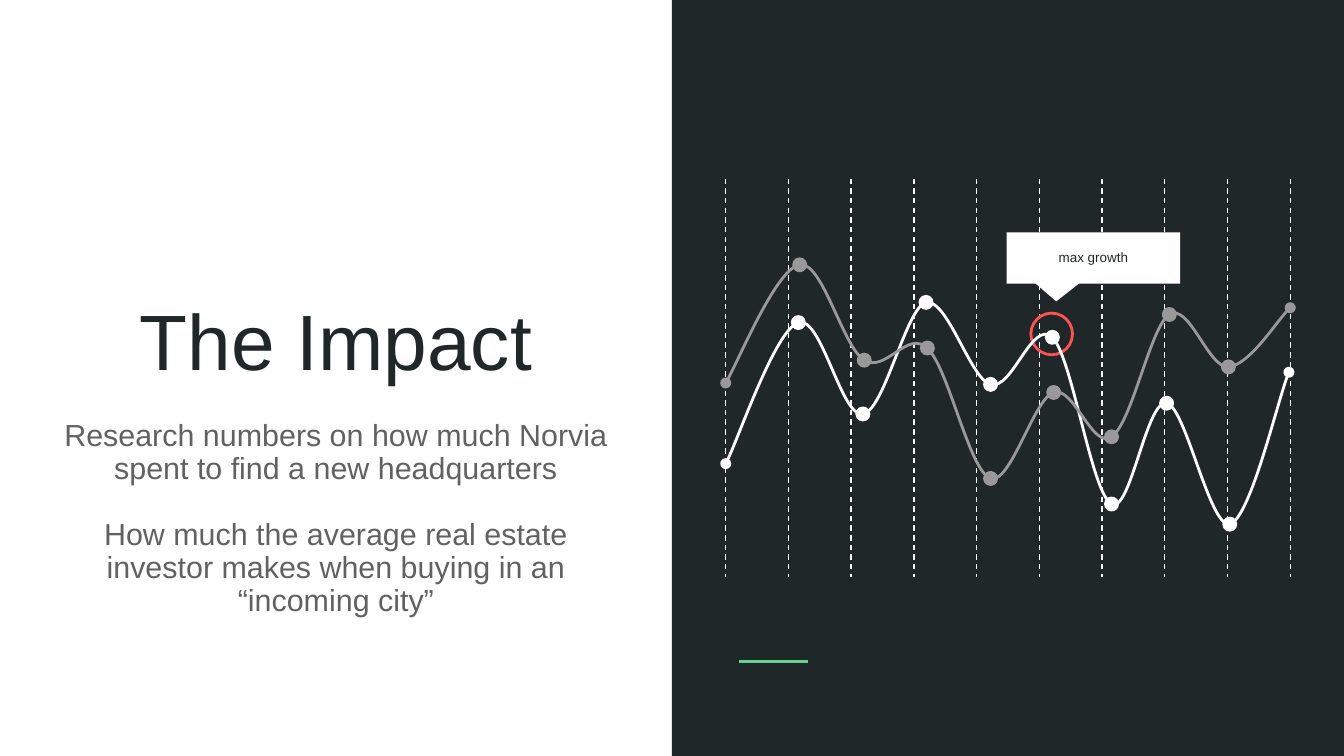
from lxml import etree
from pptx import Presentation
from pptx.dml.color import RGBColor
from pptx.enum.dml import MSO_LINE
from pptx.enum.shapes import MSO_CONNECTOR, MSO_SHAPE
from pptx.enum.text import MSO_ANCHOR, MSO_AUTO_SIZE, PP_ALIGN
from pptx.oxml.ns import qn
from pptx.util import Inches, Pt

RECT, OVAL = MSO_SHAPE.RECTANGLE, MSO_SHAPE.OVAL
CALLOUT = MSO_SHAPE.ROUNDED_RECTANGULAR_CALLOUT
STRAIGHT, DASH = MSO_CONNECTOR.STRAIGHT, MSO_LINE.DASH
CENTER, NONE = PP_ALIGN.CENTER, MSO_AUTO_SIZE.NONE
TOP, MIDDLE, BOTTOM = MSO_ANCHOR.TOP, MSO_ANCHOR.MIDDLE, MSO_ANCHOR.BOTTOM
DARK, WHITE, GREY, SLATE = "202729", "FFFFFF", "999999", "616161"
GREEN, RED = "63D297", "FF5252"
WIDE = 10
HIGH = WIDE * 9 / 16
DOT = 0.09

WAVE_WHITE = [
    (0, 2.12), (0.09, 1.95), (0.37, 1.13), (0.54, 1.07),
    (0.71, 1.01), (0.86, 1.78), (1.02, 1.75),
    (1.18, 1.73), (1.34, 0.96), (1.49, 0.92),
    (1.65, 0.89), (1.82, 1.49), (1.97, 1.53),
    (2.13, 1.58), (2.28, 1.04), (2.43, 1.18),
    (2.58, 1.33), (2.72, 2.34), (2.87, 2.42),
    (3.01, 2.5), (3.13, 1.64), (3.28, 1.67),
    (3.42, 1.69), (3.6, 2.6), (3.75, 2.57),
    (3.9, 2.53), (4.11, 1.63), (4.19, 1.44),
]
WAVE_GREY = [
    (0, 1.52), (0.09, 1.37), (0.38, 0.67), (0.55, 0.64),
    (0.72, 0.61), (0.87, 1.25), (1.03, 1.35),
    (1.19, 1.45), (1.35, 1.12), (1.5, 1.26),
    (1.66, 1.41), (1.81, 2.17), (1.97, 2.23),
    (2.12, 2.28), (2.29, 1.64), (2.44, 1.59),
    (2.59, 1.54), (2.73, 2.02), (2.87, 1.92),
    (3.02, 1.83), (3.16, 1.1), (3.3, 1.01),
    (3.45, 0.92), (3.59, 1.41), (3.74, 1.4),
    (3.89, 1.39), (4.12, 1.03), (4.2, 0.96),
]


def color(text):
    """Turn a hex string into a colour."""
    return RGBColor.from_string(text)


def paint(shape, fill=None, line=None):
    """Set the fill and outline of a shape, without shadow."""
    shape.shadow.inherit = False
    if fill:
        shape.fill.solid()
        shape.fill.fore_color.rgb = color(fill)
    else:
        shape.fill.background()
    if line:
        shape.line.color.rgb = color(line)
        shape.line.width = Pt(1.5)
    else:
        shape.line.fill.background()


def add_form(slide, kind, x, y, w, h, fill=None, line=None):
    """Add a painted preset shape."""
    shape = slide.shapes.add_shape(kind, Inches(x), Inches(y), Inches(w), Inches(h))
    paint(shape, fill, line)
    return shape


def add_line(slide, x1, y1, x2, y2, tone, width):
    """Add a straight line without shadow."""
    line = slide.shapes.add_connector(
        STRAIGHT, Inches(x1), Inches(y1), Inches(x2), Inches(y2))
    line.line.color.rgb = color(tone)
    line.line.width = Pt(width)
    etree.SubElement(line._element.spPr, qn("a:effectLst"))
    return line


def write(frame, texts, size, tone, anchor, space=None, gap=0):
    """Write centred paragraphs into a text frame."""
    frame.word_wrap = True
    frame.auto_size = NONE
    frame.vertical_anchor = anchor
    frame.margin_left = frame.margin_right = Inches(0.1)
    frame.margin_top = frame.margin_bottom = Inches(0.1)
    for i, text in enumerate(texts):
        para = frame.add_paragraph() if i else frame.paragraphs[0]
        para.alignment = CENTER
        para.line_spacing = space
        para.space_before = Pt(gap if i else 0)
        run = para.add_run()
        run.text = text
        run.font.name = "Arial"
        run.font.size = Pt(size)
        run.font.color.rgb = color(tone)


def add_curve(slide, x, y, points, tone):
    """Draw a Bezier curve with round ends and a dot on each inner node."""
    spots = [(Inches(x + px), Inches(y + py)) for px, py in points]
    pen = slide.shapes.build_freeform(*spots[0])
    pen.add_line_segments(spots[1:], close=False)
    curve = pen.convert_to_shape()
    paint(curve, line=tone)
    track = next(curve._element.iter(qn("a:path")))
    steps = track.findall(qn("a:lnTo"))
    for i in range(0, len(steps), 3):
        bend = etree.SubElement(track, qn("a:cubicBezTo"))
        for step in steps[i:i + 3]:
            bend.append(step[0])
            track.remove(step)
    stroke = curve._element.spPr.find(qn("a:ln"))
    for end in ("a:headEnd", "a:tailEnd"):
        etree.SubElement(stroke, qn(end)).set("type", "oval")
    for px, py in points[3:-1:3]:
        add_form(slide, OVAL, x + px - DOT / 2, y + py - DOT / 2, DOT, DOT, tone, tone)


def add_panel(slide, x, y, w, h):
    """Draw the dark half with its short accent line."""
    add_form(slide, RECT, x, y, w, h, DARK)
    add_line(slide, x + 0.5, y + 4.92, x + 1.01, y + 4.92, GREEN, 1.5)


def add_copy(slide, x, y, w):
    """Place the title and the text below it."""
    title = slide.shapes.title
    title.left, title.top = Inches(x), Inches(y)
    title.width, title.height = Inches(w), Inches(1.65)
    write(title.text_frame, ["The Impact"], 42, DARK, BOTTOM)
    box = slide.shapes.add_textbox(Inches(x), Inches(y + 1.71), Inches(w), Inches(1.47))
    write(box.text_frame, [
        "Research numbers on how much Norvia spent to find a new headquarters",
        "How much the average real estate investor makes when buying in an “incoming city”",
    ], 16.3, SLATE, TOP, 0.9, 17.7)


def add_graph(slide, x, y, w, h):
    """Draw the dashed grid, both curves and the marked peak."""
    for i in range(10):
        left = x + i * w / 9
        add_line(slide, left, y, left, y + h, WHITE, 0.75).line.dash_style = DASH
    add_form(slide, OVAL, x + 2.27, y + 1, 0.31, 0.31, line=RED)
    add_curve(slide, x, y, WAVE_WHITE, WHITE)
    label = add_form(slide, CALLOUT, x + 2.09, y + 0.4, 1.29, 0.38, WHITE)
    for i, value in enumerate((-0.214, 0.85, 0)):
        label.adjustments[i] = value
    write(label.text_frame, ["max growth"], 7.2, DARK, MIDDLE, 0.95)
    add_curve(slide, x, y, WAVE_GREY, GREY)


def main():
    """Build and save the slide."""
    deck = Presentation()
    deck.slide_width, deck.slide_height = Inches(WIDE), Inches(HIGH)
    slide = deck.slides.add_slide(deck.slide_layouts[5])
    add_panel(slide, WIDE / 2, 0, WIDE / 2, HIGH)
    add_copy(slide, 0.29, 1.32, 4.42)
    add_graph(slide, 5.4, 1.33, 4.2, 2.96)
    deck.save("out.pptx")


if __name__ == "__main__":
    main()
